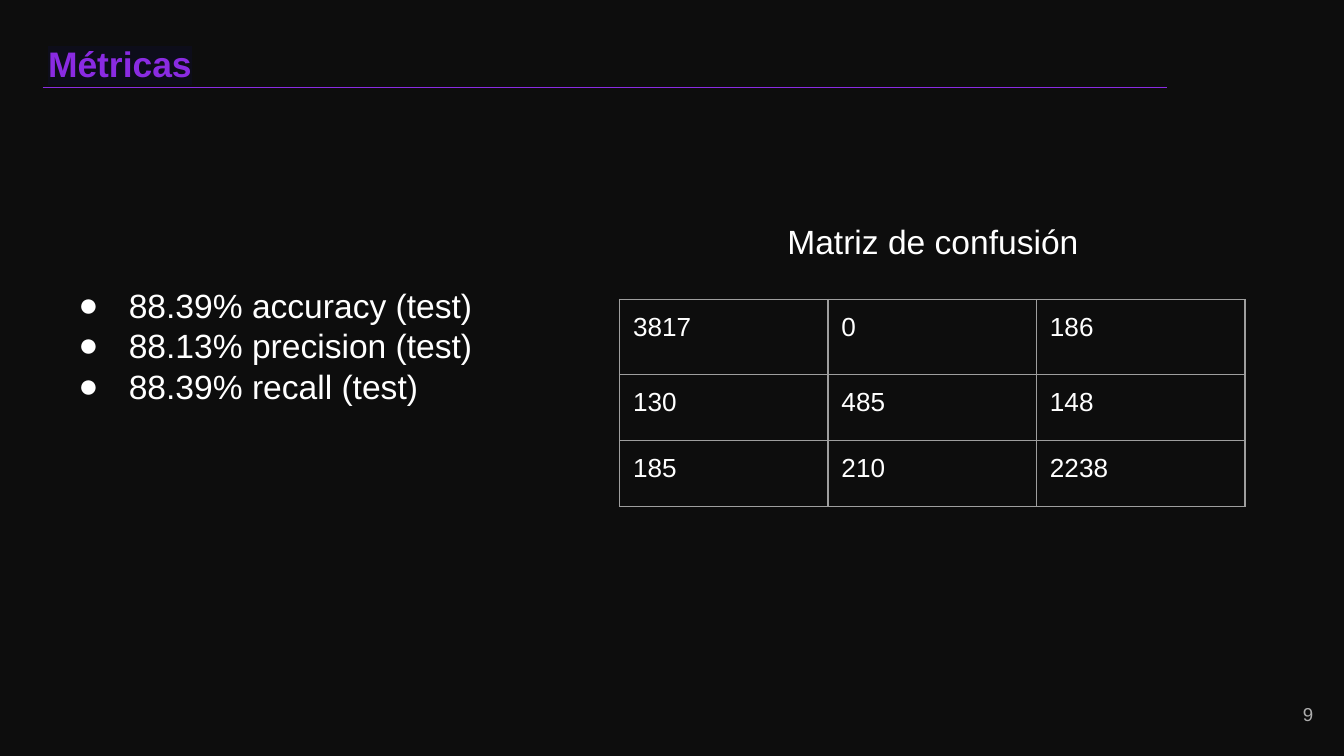
import lxml.etree
import pptx
import pptx.dml.color
import pptx.enum.shapes
import pptx.enum.text
import pptx.oxml.ns
import pptx.util

Pt = pptx.util.Pt
qn = pptx.oxml.ns.qn
ALIGN = pptx.enum.text.PP_ALIGN
ANCHOR = pptx.enum.text.MSO_ANCHOR
INSET = Pt(7.2)
PURPLE, WHITE, BLACK = "8A2BE2", "FFFFFF", "0D0D0D"
METRICS = ["88.39% accuracy (test)", "88.13% precision (test)", "88.39% recall (test)"]
CONFUSION = [["3817", "0", "186"], ["130", "485", "148"], ["185", "210", "2238"]]


def color(value):
    """Turn a hex string into a colour."""
    return pptx.dml.color.RGBColor.from_string(value)


def add_color_element(parent, tag, value):
    """Append an XML element that holds one colour."""
    element = lxml.etree.SubElement(parent, qn(tag))
    lxml.etree.SubElement(element, qn("a:srgbClr"), val=value)
    return element


def add_bullet(para):
    """Give a paragraph a round white bullet and a hanging indent."""
    properties = para._p.get_or_add_pPr()
    properties.set("marL", str(Pt(36)))
    properties.set("indent", str(Pt(-27)))
    add_color_element(properties, "a:buClr", WHITE)
    lxml.etree.SubElement(properties, qn("a:buFont"), typeface="Arial")
    lxml.etree.SubElement(properties, qn("a:buChar"), char="●")


def write_text(frame, text, size=18, fill=WHITE, bold=False, align=ALIGN.LEFT,
               anchor=ANCHOR.TOP, spacing=1.0, highlight=None, bullet=False):
    """Write each line of the text as a formatted paragraph."""
    frame.word_wrap = True
    frame.vertical_anchor = anchor
    for index, line in enumerate(text.split("\n")):
        para = frame.add_paragraph() if index else frame.paragraphs[0]
        para.alignment = align
        para.line_spacing = spacing
        if bullet:
            add_bullet(para)
        span = para.add_run()
        span.text = line
        span.font.size = Pt(size)
        span.font.bold = bold
        span.font.color.rgb = color(fill)
        if highlight:
            add_color_element(span._r.get_or_add_rPr(), "a:highlight", highlight)
        span.font.name = "Arial"


def add_text(page, text, left, top, width, height, **style):
    """Add a text box with even insets."""
    box = page.shapes.add_textbox(Pt(left), Pt(top), Pt(width), Pt(height))
    frame = box.text_frame
    frame.margin_left = frame.margin_right = INSET
    frame.margin_top = frame.margin_bottom = INSET
    write_text(frame, text, **style)


def add_rule(page, left, right, y):
    """Add a thin horizontal purple line."""
    rule = page.shapes.add_connector(
        pptx.enum.shapes.MSO_CONNECTOR.STRAIGHT, Pt(left), Pt(y), Pt(right), Pt(y))
    rule.line.color.rgb = color(PURPLE)
    rule.line.width = Pt(0.75)
    lxml.etree.SubElement(rule._element.spPr, qn("a:effectLst"))


def add_borders(cell):
    """Draw a thin grey line on all four sides of a cell."""
    properties = cell._tc.get_or_add_tcPr()
    for position, side in enumerate(("a:lnL", "a:lnR", "a:lnT", "a:lnB")):
        border = lxml.etree.Element(qn(side), w=str(Pt(0.75)))
        add_color_element(border, "a:solidFill", "9E9E9E")
        properties.insert(position, border)


def add_matrix(page, rows, left, top, column_width, row_heights):
    """Add an unfilled table with grey borders."""
    columns = len(rows[0])
    table = page.shapes.add_table(
        len(rows), columns, Pt(left), Pt(top),
        Pt(column_width * columns), Pt(sum(row_heights))).table
    table.first_row = table.horz_banding = False
    for column in table.columns:
        column.width = Pt(column_width)
    for row, height, values in zip(table.rows, row_heights, rows):
        row.height = Pt(height)
        for cell, value in zip(row.cells, values):
            cell.margin_left = cell.margin_right = INSET
            cell.margin_top = cell.margin_bottom = INSET
            cell.fill.background()
            add_borders(cell)
            write_text(cell.text_frame, value, size=14)


def main():
    """Build the metrics slide and save it."""
    deck = pptx.Presentation()
    deck.slide_width, deck.slide_height = Pt(720), Pt(405)
    page = deck.slides.add_slide(deck.slide_layouts[6])
    page.background.fill.solid()
    page.background.fill.fore_color.rgb = color(BLACK)

    add_text(page, "Métricas", 18.7, 8.6, 237.6, 44, size=19, fill=PURPLE,
             bold=True, spacing=1.3, highlight="0D0D1A")
    add_rule(page, 22.8, 625, 47)
    add_text(page, "9", 667.4, 367.2, 43.2, 31, size=10, fill="ADADAD",
             align=ALIGN.RIGHT, anchor=ANCHOR.MIDDLE)
    add_text(page, "Matriz de confusión", 414.7, 110.9, 178.6, 34.6)
    add_matrix(page, CONFUSION, 331.9, 160.4, 111.7, [40.2, 35.3, 35.3])
    add_text(page, "\n".join(METRICS), 25.9, 145.4, 287.3, 84.2, bullet=True)
    deck.save("out.pptx")


if __name__ == "__main__":
    main()
